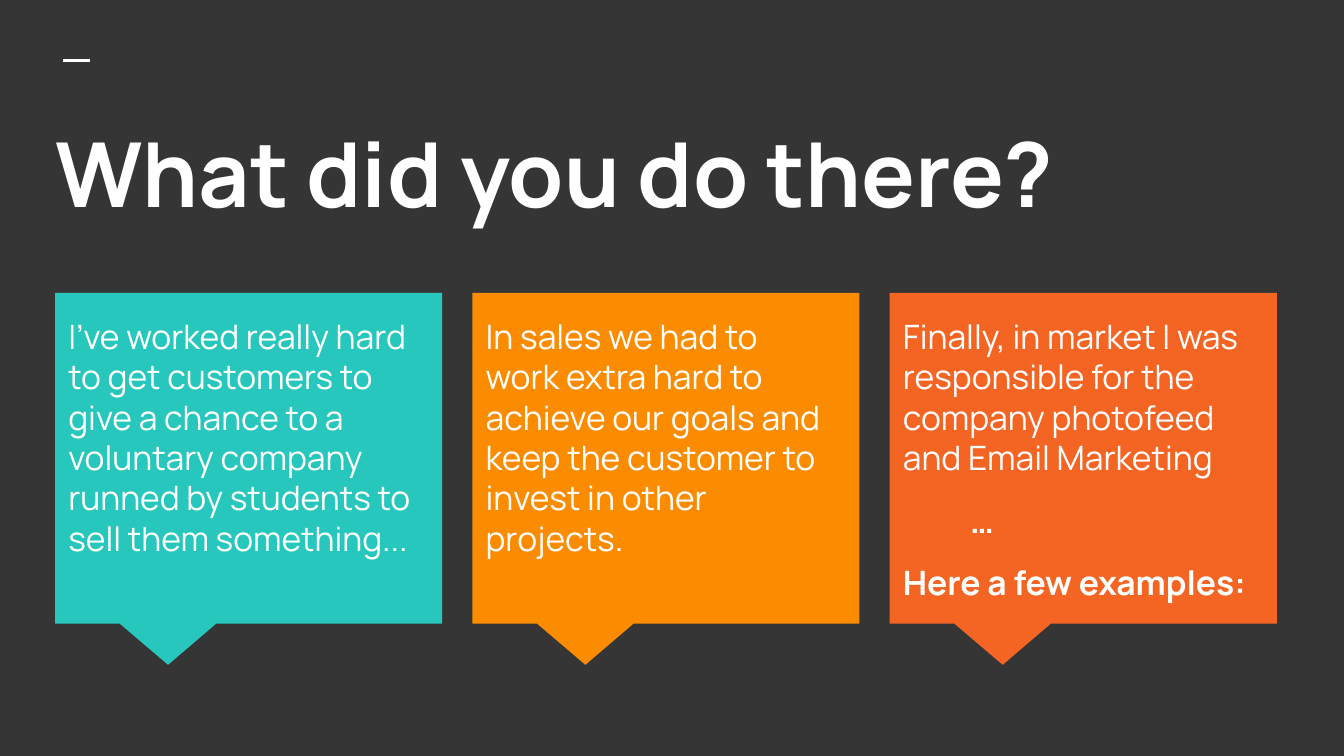
"""Build the "What did you do there?" slide with three callout cards."""
from pptx import Presentation
from pptx import util as u
from pptx.dml.color import RGBColor
from pptx.enum import shapes, text
from pptx.oxml.ns import qn
from lxml import etree

DARK = RGBColor(0x35, 0x35, 0x35)
WHITE = RGBColor(0xFF, 0xFF, 0xFF)
TEAL = RGBColor(0x27, 0xC7, 0xBD)
AMBER = RGBColor(0xFB, 0x8C, 0x00)
ORANGE = RGBColor(0xF4, 0x65, 0x24)
FONT = "Manrope"

CARDS = [
    (TEAL, ["I’ve worked really hard to get customers to give a chance to a "
            "voluntary company runned by students to sell them something..."]),
    (AMBER, ["In sales we had to work extra hard to achieve our goals and keep "
             "the customer to invest in other projects."]),
    (ORANGE, ["Finally, in market I was responsible for the company photofeed "
              "and Email Marketing", "…", "Here a few examples:"]),
]
FIRST_LEFT, LAST_LEFT, CARD_TOP = 0.41, 6.62, 2.18
CARD_PITCH = (LAST_LEFT - FIRST_LEFT) / (len(CARDS) - 1)


def prepare_frame(frame):
    frame.word_wrap = True
    frame.auto_size = text.MSO_AUTO_SIZE.NONE
    frame.vertical_anchor = text.MSO_ANCHOR.TOP
    frame.margin_left = frame.margin_right = u.Inches(0.1)
    frame.margin_top = frame.margin_bottom = u.Inches(0.1)


def format_paragraph(paragraph, size, bold):
    paragraph.alignment = text.PP_ALIGN.LEFT
    for run in paragraph.runs:
        run.font.name = FONT
        run.font.size = u.Pt(size)
        run.font.bold = bold
        run.font.color.rgb = WHITE


presentation = Presentation()
presentation.slide_width = u.Inches(10)
presentation.slide_height = u.Inches(10) * 9 // 16
slide = presentation.slides.add_slide(presentation.slide_layouts[5])
slide.background.fill.solid()
slide.background.fill.fore_color.rgb = DARK

dash = slide.shapes.add_connector(
    shapes.MSO_CONNECTOR.STRAIGHT,
    u.Inches(0.47), u.Inches(0.45), u.Inches(0.67), u.Inches(0.45))
dash.line.color.rgb = WHITE
dash.line.width = u.Pt(1.5)
etree.SubElement(dash._element.spPr, qn("a:effectLst"))

title = slide.shapes.title
title.left, title.top = u.Inches(0.31), u.Inches(0.78)
title.width, title.height = u.Inches(9.43), u.Inches(1.12)
title.text_frame.text = "What did you do there?"
prepare_frame(title.text_frame)
format_paragraph(title.text_frame.paragraphs[0], 48, True)

for index, (color, lines) in enumerate(CARDS):
    left = u.Inches(FIRST_LEFT + index * CARD_PITCH)

    callout = slide.shapes.add_shape(
        shapes.MSO_SHAPE.RECTANGULAR_CALLOUT,
        left, u.Inches(CARD_TOP), u.Inches(2.88), u.Inches(2.46))
    callout.adjustments[0] = -0.208
    callout.adjustments[1] = 0.625
    callout.shadow.inherit = False
    callout.fill.solid()
    callout.fill.fore_color.rgb = color
    callout.line.fill.background()

    body = slide.shapes.add_textbox(
        left, u.Inches(CARD_TOP + 0.07), u.Inches(2.79), u.Inches(2.19))
    body.text_frame.text = "\n".join(lines)
    prepare_frame(body.text_frame)
    paragraphs = body.text_frame.paragraphs
    for number, paragraph in enumerate(paragraphs):
        format_paragraph(paragraph, 18, number > 0)
        if number > 0:
            paragraph.space_before = u.Pt(12)
        if paragraph.text == "…":
            properties = paragraph._p.get_or_add_pPr()
            properties.set("marL", "0")
            properties.set("indent", str(u.Inches(0.5)))
    paragraphs[-1].space_after = u.Pt(12)

presentation.save("out.pptx")
